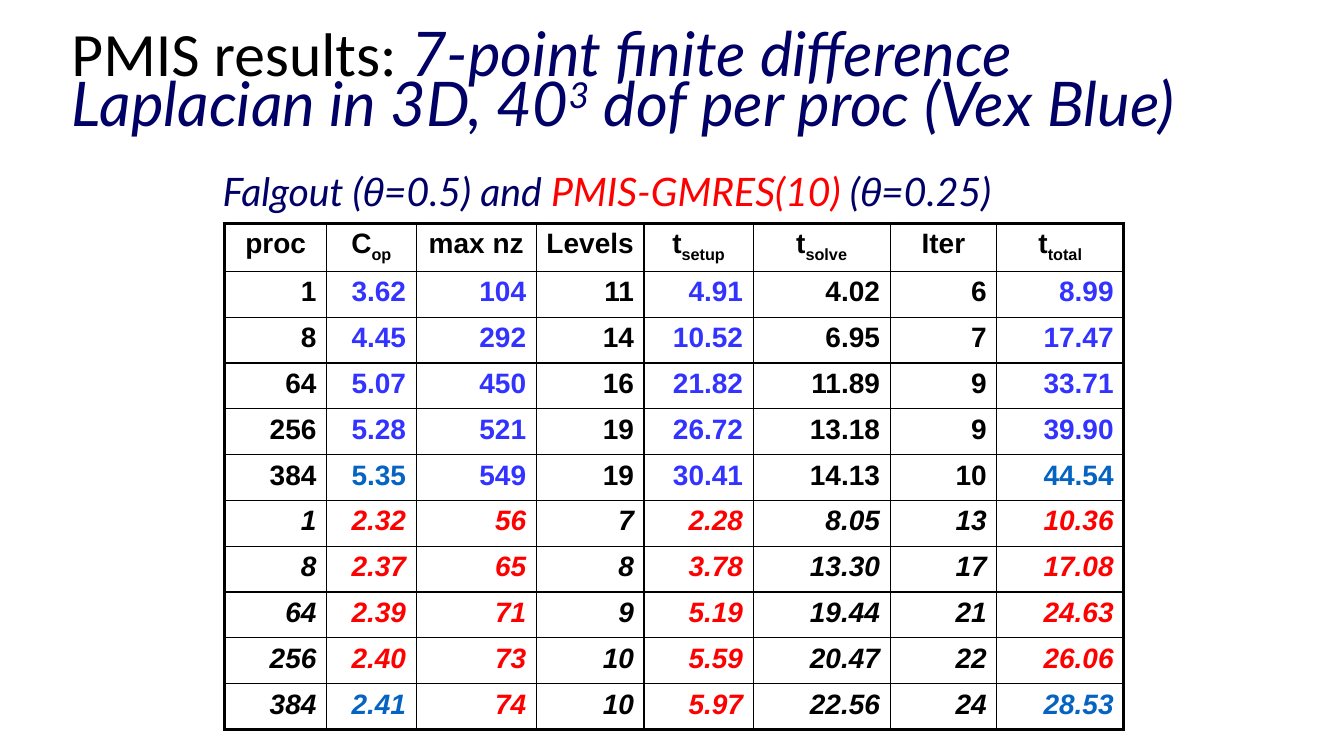
from dataclasses import dataclass

from lxml.etree import SubElement as Sub
from pptx import Presentation
from pptx.dml.color import RGBColor
from pptx.enum.text import MSO_ANCHOR as Anchor, PP_ALIGN as Align
from pptx.oxml.ns import qn
from pptx.util import Pt

BLACK, NAVY, RED = "000000", "000066", "FF0000"
BLUE, LINK = "3333FF", "0563C1"


@dataclass
class Run:
    text: str
    face: str = ""
    tint: str = ""
    slant: bool = False
    shift: int = 0


@dataclass
class Group:
    tint: str
    slant: bool
    rows: list[str]


TITLE = [
    Run("PMIS results: ", "Calibri", BLACK),
    Run("7-point finite difference Laplacian in 3D, 40", "Lato", NAVY, True),
    Run("3", "Lato", NAVY, True, 30),
    Run(" dof per proc (Vex Blue)", "Lato", NAVY, True),
]
LEGEND = [
    Run("Falgout (", "Lato", NAVY),
    Run("θ", "Arial", NAVY),
    Run("=0.5) and ", "Lato", NAVY),
    Run("PMIS-GMRES(10)", "Lato", RED),
    Run(" (", "Lato", NAVY),
    Run("θ", "Arial", NAVY),
    Run("=0.25)", "Lato", NAVY),
]
HEADS = [
    ("proc", ""), ("C", "op"), ("max nz", ""), ("Levels", ""),
    ("t", "setup"), ("t", "solve"), ("Iter", ""), ("t", "total"),
]
GROUPS = [
    Group(BLUE, False, [
        "1 3.62 104 11 4.91 4.02 6 8.99",
        "8 4.45 292 14 10.52 6.95 7 17.47",
        "64 5.07 450 16 21.82 11.89 9 33.71",
        "256 5.28 521 19 26.72 13.18 9 39.90",
        "384 5.35 549 19 30.41 14.13 10 44.54",
    ]),
    Group(RED, True, [
        "1 2.32 56 7 2.28 8.05 13 10.36",
        "8 2.37 65 8 3.78 13.30 17 17.08",
        "64 2.39 71 9 5.19 19.44 21 24.63",
        "256 2.40 73 10 5.59 20.47 22 26.06",
        "384 2.41 74 10 5.97 22.56 24 28.53",
    ]),
]
WIDTHS = [72.7, 64, 85.8, 77, 78, 97.8, 76.2, 90.7]
TINTED, LINKED = {1, 2, 4, 7}, {1, 7}
DEEP = 32.72


def color(code: str) -> RGBColor:
    return RGBColor.from_string(code)


def write(para, runs: list[Run]) -> None:
    for item in runs:
        run = para.add_run()
        run.text = item.text
        if item.face:
            run.font.name = item.face
        if item.tint:
            run.font.color.rgb = color(item.tint)
        if item.slant:
            run.font.italic = True
        if item.shift:
            run.font._element.set("baseline", str(item.shift * 1000))


def add_text(slide, left: float, top: float, width: float, height: float,
             size: float, runs: list[Run]):
    frame = slide.shapes.add_textbox(
        Pt(left), Pt(top), Pt(width), Pt(height)).text_frame
    frame.word_wrap = True
    frame.vertical_anchor = Anchor.TOP
    para = frame.paragraphs[0]
    para.font.size = Pt(size)
    write(para, runs)
    return frame


def edge(cell, side: str, width: float) -> None:
    line = Sub(cell._tc.get_or_add_tcPr(), qn(f"a:{side}"), w=str(Pt(width)))
    fill = Sub(line, qn("a:solidFill"))
    Sub(fill, qn("a:srgbClr"), val=BLACK)


def fill_cell(cell, runs: list[Run], align: Align, tint: str,
              slant: bool) -> None:
    para = cell.text_frame.paragraphs[0]
    para.alignment = align
    font = para.font
    font.name, font.size = "Arial", Pt(20)
    font.bold, font.italic = True, slant
    font.color.rgb = color(tint)
    write(para, runs)


def add_grid(slide) -> None:
    count = 1 + sum(len(group.rows) for group in GROUPS)
    table = slide.shapes.add_table(
        count, len(HEADS), Pt(160.6), Pt(159.4),
        Pt(sum(WIDTHS)), Pt(DEEP * count)).table
    table.first_row = table.horz_banding = False
    for col, width in zip(table.columns, WIDTHS):
        col.width = Pt(width)
    for row in table.rows:
        row.height = Pt(DEEP)

    for c, (base, low) in enumerate(HEADS):
        runs = [Run(base)] + ([Run(low, shift=-25)] if low else [])
        fill_cell(table.cell(0, c), runs, Align.CENTER, BLACK, False)

    r = 0
    for group in GROUPS:
        for line in group.rows:
            r += 1
            last = line == group.rows[-1]
            for c, value in enumerate(line.split()):
                tint = group.tint if c in TINTED else BLACK
                if last and c in LINKED:
                    tint = LINK
                fill_cell(table.cell(r, c), [Run(value)], Align.RIGHT,
                          tint, group.slant)

    for r in range(count):
        for c in range(len(HEADS)):
            cell = table.cell(r, c)
            sides = {"lnL": c == 0, "lnR": c == len(HEADS) - 1,
                     "lnT": r == 0, "lnB": r == count - 1}
            for side, outer in sides.items():
                edge(cell, side, 2.25 if outer else 1)
            cell.fill.background()


def main() -> None:
    deck = Presentation()
    deck.slide_width, deck.slide_height = Pt(960), Pt(540)
    slide = deck.slides.add_slide(deck.slide_layouts[6])
    title = add_text(slide, 44, 23.8, 869, 71.3, 44, TITLE)
    title.margin_right = Pt(14)
    title.paragraphs[0].line_spacing = Pt(36)
    legend = add_text(slide, 152, 116, 652, 44, 28, LEGEND).paragraphs[0]
    legend.font.italic = True
    legend.space_before = Pt(6)
    add_grid(slide)
    deck.save("out.pptx")


if __name__ == "__main__":
    main()
